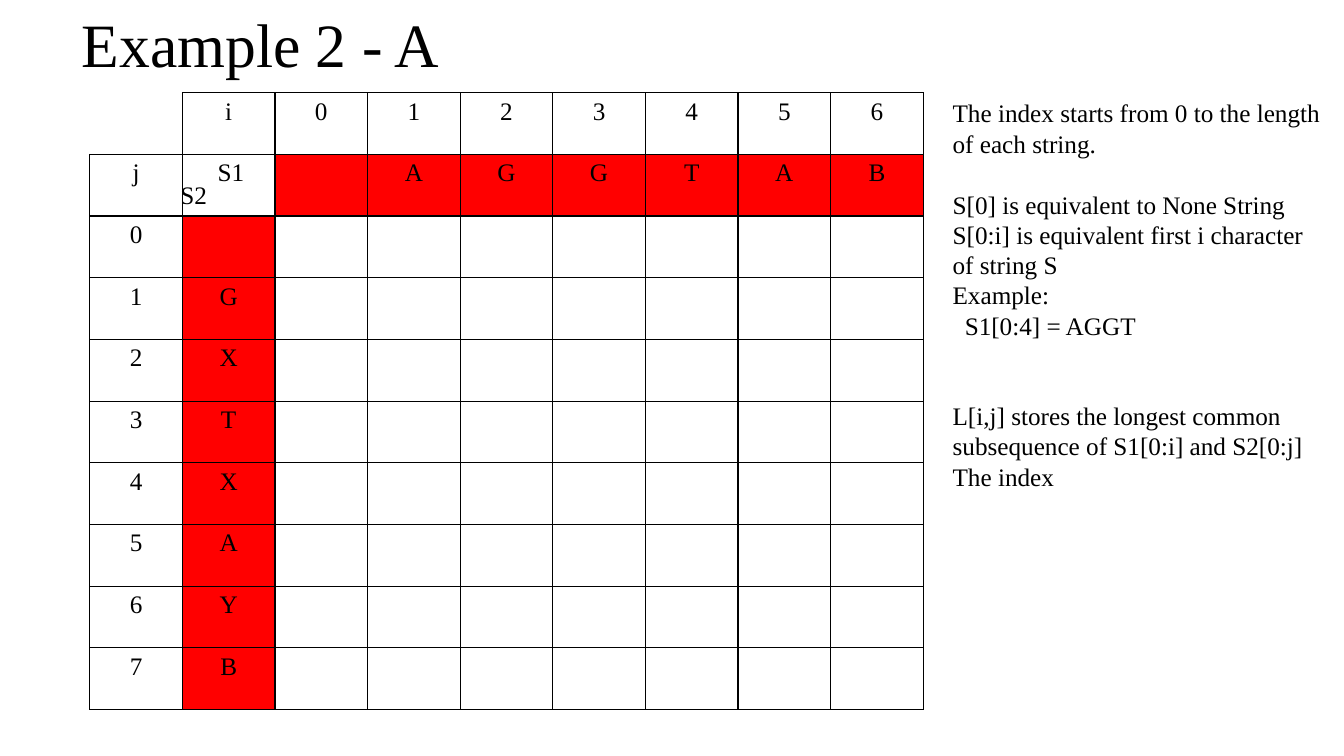
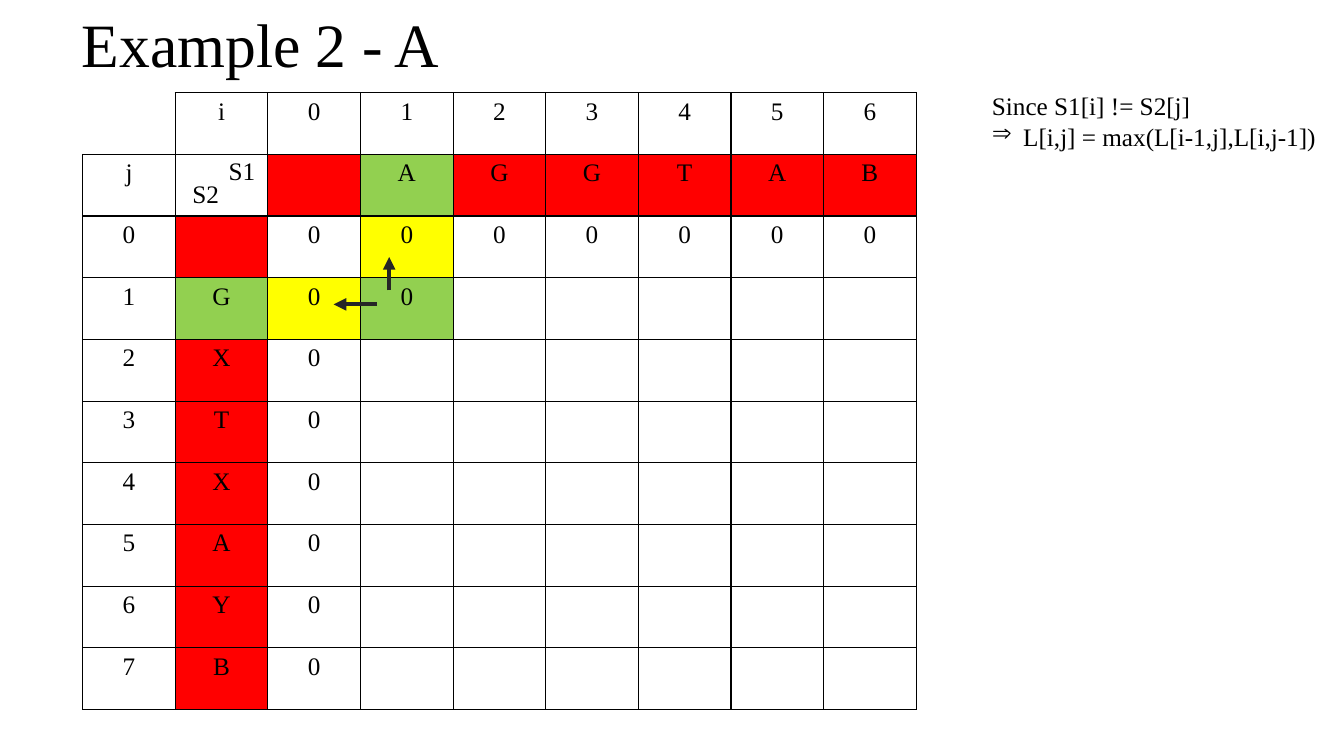
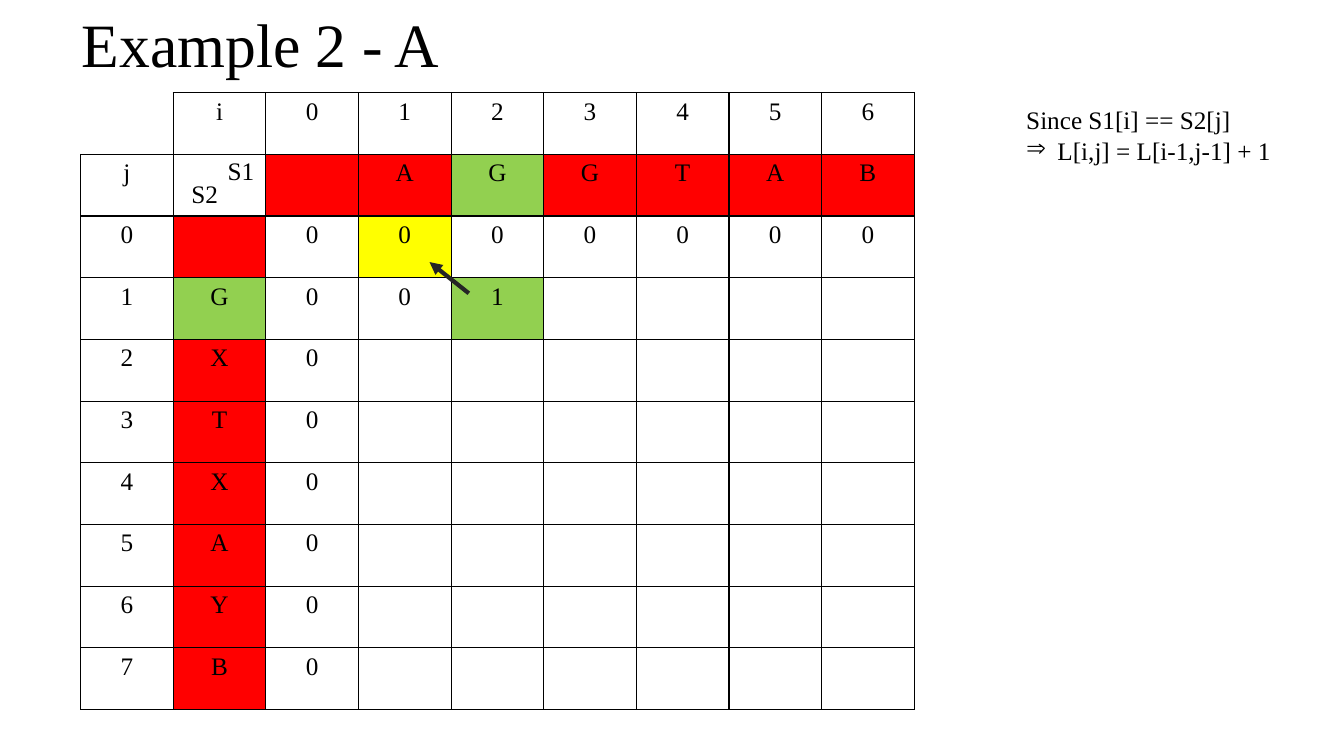
from lxml import etree
from pptx import Presentation
from pptx import util as u
from pptx.dml.color import RGBColor
from pptx.enum import shapes, text
from pptx.oxml.ns import qn

PX = 9144
FONT = "Times New Roman"
BLACK = RGBColor(0x00, 0x00, 0x00)
WHITE = RGBColor(0xFF, 0xFF, 0xFF)
RED = RGBColor(0xFF, 0x00, 0x00)
GREEN = RGBColor(0x92, 0xD0, 0x50)
YELLOW = RGBColor(0xFF, 0xFF, 0x00)
ARROW = RGBColor(0x26, 0x26, 0x26)
BODY_FONT = {"name": FONT, "size": u.Pt(18)}
TITLE_FONT = {"name": FONT, "size": u.Pt(44)}
TITLE_BOX = {"left": 71 * PX, "top": 3 * PX, "width": 1032 * PX, "height": 89 * PX}
TITLE_FRAME = {
    "vertical_anchor": text.MSO_ANCHOR.MIDDLE,
    "auto_size": text.MSO_AUTO_SIZE.NONE,
    "word_wrap": True,
}
NOTE_FRAME = {"word_wrap": True, "auto_size": text.MSO_AUTO_SIZE.SHAPE_TO_FIT_TEXT}
FIRST_STRING = "AGGTAB"
SECOND_STRING = "GXTXAYB"
ROWS = len(SECOND_STRING) + 3
COLUMNS = len(FIRST_STRING) + 3

STEPS = [
    {
        "table_left": 89,
        "zeros": False,
        "scores": {},
        "green": [],
        "yellow": [],
        "labels": [("S1", 206, 150), ("S2", 169, 173)],
        "note_box": (935, 92, 385, 404),
        "note": [
            ("The index starts from 0 to the length of each string.", {}),
            ("S[0] is equivalent to None String", {"before": 22}),
            ("S[0:i] is equivalent first i character of string S", {}),
            ("Example:", {}),
            ("S1[0:4] = AGGT", {"margin": 12}),
            ("L[i,j] stores the longest common subsequence of S1[0:i] and S2[0:j] The index",
             {"before": 43}),
        ],
        "arrows": [],
    },
    {
        "table_left": 82,
        "zeros": True,
        "scores": {(3, 3): "0"},
        "green": [(1, 3), (3, 1), (3, 3)],
        "yellow": [(2, 3), (3, 2)],
        "labels": [("S1", 217, 149), ("S2", 181, 172)],
        "note_box": (974, 85, 432, 71),
        "note": [
            ("Since S1[i] != S2[j]", {}),
            ("L[i,j] = max(L[i-1,j],L[i,j-1])", {"margin": 31, "bullet": "⇒"}),
        ],
        "arrows": [(374, 302, 331, 302), (386, 288, 386, 255)],
    },
    {
        "table_left": 80,
        "zeros": True,
        "scores": {(3, 3): "0", (3, 4): "1"},
        "green": [(1, 4), (3, 1), (3, 4)],
        "yellow": [(2, 3)],
        "labels": [("S1", 216, 149), ("S2", 180, 172)],
        "note_box": (1008, 99, 432, 71),
        "note": [
            ("Since S1[i] == S2[j]", {}),
            ("L[i,j] = L[i-1,j-1] + 1", {"margin": 31, "bullet": "⇒"}),
        ],
        "arrows": [(465, 291, 426, 260)],
    },
]


def write(paragraph, words, font):
    run = paragraph.add_run()
    run.text = words
    for name, value in font.items():
        setattr(run.font, name, value)
    run.font.color.rgb = BLACK


def add_note(slide, box, lines):
    frame = slide.shapes.add_textbox(*(length * PX for length in box)).text_frame
    for name, value in NOTE_FRAME.items():
        setattr(frame, name, value)
    for index, (words, layout) in enumerate(lines):
        paragraph = frame.add_paragraph() if index else frame.paragraphs[0]
        write(paragraph, words, BODY_FONT)
        if "before" in layout:
            paragraph.space_before = u.Pt(layout["before"])
        if "margin" in layout:
            properties = paragraph._p.get_or_add_pPr()
            properties.set("marL", str(layout["margin"] * PX))
            if "bullet" in layout:
                properties.set("indent", str(-layout["margin"] * PX))
                etree.SubElement(properties, qn("a:buChar"), char=layout["bullet"])


presentation = Presentation()
presentation.slide_width = 1333 * PX
presentation.slide_height = 750 * PX

for step in STEPS:
    slide = presentation.slides.add_slide(presentation.slide_layouts[5])
    title = slide.shapes.title
    for name, value in TITLE_BOX.items():
        setattr(title, name, value)
    for name, value in TITLE_FRAME.items():
        setattr(title.text_frame, name, value)
    heading = title.text_frame.paragraphs[0]
    heading.alignment = text.PP_ALIGN.LEFT
    heading.line_spacing = 0.9
    write(heading, "Example 2 - A", TITLE_FONT)

    words_at = {(0, 1): "i", (1, 0): "j"}
    for index in range(COLUMNS - 2):
        words_at[0, index + 2] = str(index)
    for index in range(ROWS - 2):
        words_at[index + 2, 0] = str(index)
    for index, letter in enumerate(FIRST_STRING):
        words_at[1, index + 3] = letter
    for index, letter in enumerate(SECOND_STRING):
        words_at[index + 3, 1] = letter
    if step["zeros"]:
        for column in range(2, COLUMNS):
            words_at[2, column] = "0"
        for row in range(2, ROWS):
            words_at[row, 2] = "0"
    words_at.update(step["scores"])

    table = slide.shapes.add_table(
        ROWS, COLUMNS, step["table_left"] * PX, 92 * PX, 827 * PX, 612 * PX
    ).table
    table.first_row = False
    table.horz_banding = False
    for row in range(ROWS):
        for column in range(COLUMNS):
            cell = table.cell(row, column)
            position = (row, column)
            for side in ("lnL", "lnR", "lnT", "lnB"):
                border = etree.SubElement(
                    cell._tc.get_or_add_tcPr(), qn("a:" + side), w=str(u.Pt(1))
                )
                if position == (0, 0) and side in ("lnL", "lnT"):
                    etree.SubElement(border, qn("a:noFill"))
                else:
                    paint = etree.SubElement(border, qn("a:solidFill"))
                    etree.SubElement(paint, qn("a:srgbClr"), val=str(BLACK))
            if position in step["green"]:
                color = GREEN
            elif position in step["yellow"]:
                color = YELLOW
            elif (row == 1 and column > 1) or (column == 1 and row > 1):
                color = RED
            else:
                color = WHITE
            cell.fill.solid()
            cell.fill.fore_color.rgb = color
            if position in words_at:
                paragraph = cell.text_frame.paragraphs[0]
                paragraph.alignment = text.PP_ALIGN.CENTER
                write(paragraph, words_at[position], BODY_FONT)

    for words, left, top in step["labels"]:
        add_note(slide, (left, top, 63, 40), [(words, {})])
    add_note(slide, step["note_box"], step["note"])

    for ends in step["arrows"]:
        arrow = slide.shapes.add_connector(
            shapes.MSO_CONNECTOR.STRAIGHT, *(length * PX for length in ends)
        )
        arrow.line.color.rgb = ARROW
        arrow.line.width = u.Pt(3)
        etree.SubElement(arrow.line._get_or_add_ln(), qn("a:tailEnd"), type="triangle")
        etree.SubElement(arrow._element.spPr, qn("a:effectLst"))

presentation.save("out.pptx")
